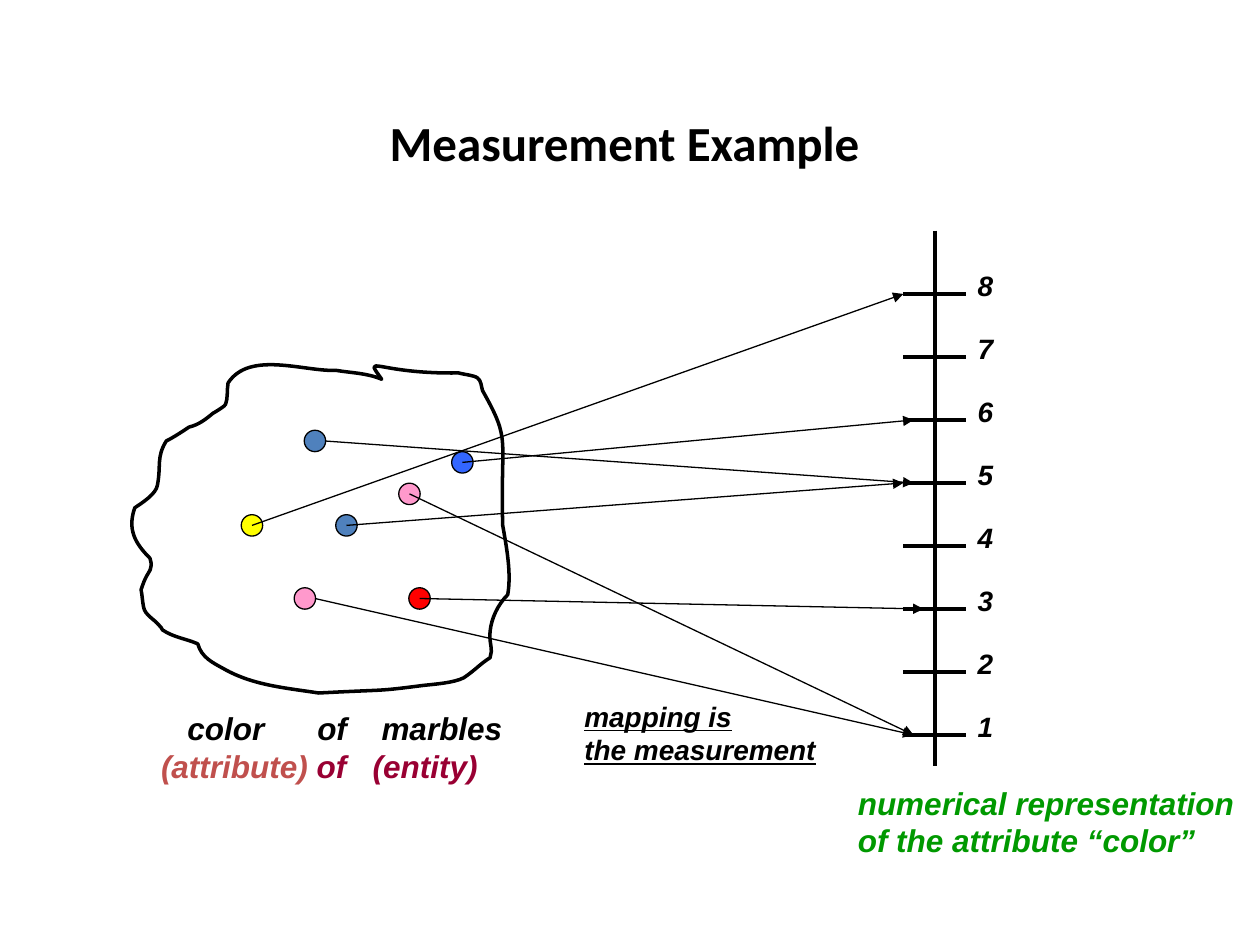
from dataclasses import dataclass

from lxml.etree import SubElement
from pptx import Presentation
from pptx.dml.color import RGBColor
from pptx.enum.shapes import MSO_CONNECTOR as CONN, MSO_SHAPE as SHAPE
from pptx.enum.text import MSO_ANCHOR as ANCHOR, PP_ALIGN as ALIGN
from pptx.oxml.ns import qn
from pptx.util import Inches, Pt


@dataclass(frozen=True)
class Theme:
    heading: str = "Calibri"
    body: str = "Arial"
    black: str = "000000"
    white: str = "FFFFFF"
    steel: str = "4F81BD"
    pink: str = "FF99CC"
    blue: str = "3366FF"
    red: str = "FF0000"
    yellow: str = "FFFF00"
    brick: str = "C0504D"
    wine: str = "990033"
    green: str = "009900"
    title_size: int = 28
    caption_size: int = 18
    label_size: int = 16


T = Theme()
MARBLE = 0.17
AXIS_X = 7.42
TICK_HALF = 0.25

MARBLES = [
    (2.5, 3.5, T.steel, 0.08, 5, 7.25),
    (3.25, 3.92, T.pink, 0, 1, 7.25),
    (2.75, 4.17, T.steel, 0, 5, 7.17),
    (2.42, 4.75, T.pink, 0.08, 1, 7.25),
    (3.67, 3.67, T.blue, 0, 6, 7.25),
    (3.33, 4.75, T.red, 0, 3, 7.33),
    (2, 4.17, T.yellow, 0, 8, 7.17),
]

BAG_START = (3.03, 3.01)
BAG_CURVES = [
    (2.91, 2.96, 2.79, 2.96, 2.67, 2.94),
    (2.41, 2.95, 1.98, 2.78, 1.81, 3.04),
    (1.8, 3.1, 1.81, 3.16, 1.79, 3.21),
    (1.79, 3.22, 1.71, 3.27, 1.69, 3.28),
    (1.63, 3.33, 1.58, 3.37, 1.5, 3.39),
    (1.44, 3.43, 1.38, 3.47, 1.32, 3.5),
    (1.24, 3.63, 1.28, 3.69, 1.25, 3.85),
    (1.24, 3.92, 1.13, 3.99, 1.07, 4.03),
    (1.01, 4.2, 1.07, 4.31, 1.19, 4.43),
    (1.22, 4.52, 1.18, 4.53, 1.15, 4.6),
    (1.14, 4.62, 1.12, 4.68, 1.12, 4.68),
    (1.13, 4.73, 1.13, 4.77, 1.14, 4.82),
    (1.15, 4.88, 1.23, 4.92, 1.26, 4.96),
    (1.28, 4.97, 1.28, 4.99, 1.29, 5),
    (1.38, 5.06, 1.48, 5.07, 1.57, 5.11),
    (1.6, 5.22, 1.69, 5.26, 1.78, 5.31),
    (2.01, 5.44, 2.27, 5.46, 2.53, 5.5),
    (3.1, 5.47, 2.97, 5.49, 3.36, 5.44),
    (3.45, 5.43, 3.6, 5.42, 3.68, 5.38),
    (3.77, 5.32, 3.81, 5.27, 3.89, 5.22),
    (3.89, 5.2, 3.9, 5.19, 3.9, 5.17),
    (3.9, 5.12, 3.88, 5.06, 3.89, 5.01),
    (3.9, 4.91, 3.95, 4.8, 4.03, 4.72),
    (4.06, 4.55, 4.02, 4.34, 3.99, 4.17),
    (3.97, 3.45, 4.06, 3.51, 3.83, 3.1),
    (3.82, 3.07, 3.82, 3.02, 3.79, 3),
    (3.77, 2.98, 3.67, 2.97, 3.64, 2.96),
    (2.98, 2.97, 2.88, 2.8, 3.03, 3.01),
]


def scale_y(value):
    return 19 / 3 - value / 2


class SlideBuilder:
    def __init__(self, slide, theme):
        self.slide = slide
        self.theme = theme

    def paint(self, sp, fill, width):
        sp.shadow.inherit = False
        sp.fill.solid()
        sp.fill.fore_color.rgb = RGBColor.from_string(fill)
        sp.line.color.rgb = RGBColor.from_string(self.theme.black)
        sp.line.width = Pt(width)

    def style(self, font, name, size, color):
        font.name, font.size, font.bold = name, Pt(size), True
        font.color.rgb = RGBColor.from_string(color)

    def title(self, text, x, y, w, h):
        sp = self.slide.shapes.title
        sp.left, sp.top, sp.width, sp.height = map(Inches, (x, y, w, h))
        tf = sp.text_frame
        tf.text = text
        tf.vertical_anchor = ANCHOR.MIDDLE
        p = tf.paragraphs[0]
        p.alignment = ALIGN.CENTER
        self.style(p.runs[0].font, self.theme.heading, self.theme.title_size, self.theme.black)

    def curved_outline(self, start, curves, fill, width):
        points = [(Inches(c[i]), Inches(c[i + 1])) for c in curves for i in (0, 2, 4)]
        builder = self.slide.shapes.build_freeform(*map(Inches, start))
        builder.add_line_segments(points, close=True)
        sp = builder.convert_to_shape()
        segments = list(sp._element.iter(qn("a:lnTo")))
        for i in range(0, len(curves) * 3, 3):
            trio = segments[i:i + 3]
            outline = trio[0].getparent()
            curve = SubElement(outline, qn("a:cubicBezTo"))
            outline.replace(trio[0], curve)
            for segment in trio:
                curve.append(segment[0])
            for segment in trio[1:]:
                outline.remove(segment)
        self.paint(sp, fill, width)

    def marble(self, cx, cy, color):
        box = (cx - MARBLE / 2, cy - MARBLE / 2, MARBLE, MARBLE)
        self.paint(self.slide.shapes.add_shape(SHAPE.OVAL, *map(Inches, box)), color, 0.75)

    def line(self, x1, y1, x2, y2, width, arrow=False):
        cxn = self.slide.shapes.add_connector(CONN.STRAIGHT, *map(Inches, (x1, y1, x2, y2)))
        cxn.line.color.rgb = RGBColor.from_string(self.theme.black)
        cxn.line.width = Pt(width)
        if arrow:
            SubElement(cxn.line._get_or_add_ln(), qn("a:tailEnd"), type="triangle")
        SubElement(cxn._element.spPr, qn("a:effectLst"))

    def text(self, x, y, w, h, lines, size, underline=None):
        tf = self.slide.shapes.add_textbox(*map(Inches, (x, y, w, h))).text_frame
        tf.word_wrap = True
        for i, (parts, tabs) in enumerate(lines):
            p = tf.add_paragraph() if i else tf.paragraphs[0]
            if tabs:
                tab_list = SubElement(p._p.get_or_add_pPr(), qn("a:tabLst"))
                for pos in tabs:
                    SubElement(tab_list, qn("a:tab"), pos=str(Inches(pos)), algn="l")
            for words, color in parts:
                r = p.add_run()
                r.text = words
                self.style(r.font, self.theme.body, size, color)
                r.font.italic = True
                r.font.underline = underline


def main():
    prs = Presentation()
    prs.slide_width, prs.slide_height = Inches(10), Inches(7.5)
    s = SlideBuilder(prs.slides.add_slide(prs.slide_layouts[5]), T)

    s.title("Measurement Example ", 0.75, 0.67, 8.5, 0.92)
    s.curved_outline(BAG_START, BAG_CURVES, T.white, 2)
    for cx, cy, color, *_ in MARBLES:
        s.marble(cx, cy, color)
    s.text(1.18, 5.58, 3.06, 0.7, [
        ([("\tcolor\tof\tmarbles", T.black)], (0.21, 1.24, 1.75)),
        ([("(attribute) ", T.brick), ("of\t(entity)", T.wine)], (1.68,)),
    ], T.caption_size)

    s.line(AXIS_X, 1.83, AXIS_X, 6.08, 2)
    for value in range(1, 9):
        y = scale_y(value)
        s.line(AXIS_X - TICK_HALF, y, AXIS_X + TICK_HALF, y, 1.75)
        s.text(7.66, y - 0.25, 0.32, 0.37, [([(str(value), T.black)], ())], T.label_size)
    s.text(6.71, 6.17, 3.25, 0.7, [
        ([("numerical representation", T.green)], ()),
        ([("of the attribute “color”", T.green)], ()),
    ], T.caption_size)

    for cx, cy, _, offset, value, end_x in MARBLES:
        s.line(cx + offset, cy, end_x, scale_y(value), 0.75, arrow=True)
    s.text(4.54, 5.5, 2.1, 0.64, [
        ([("mapping is", T.black)], ()),
        ([("the measurement", T.black)], ()),
    ], T.label_size, underline=True)

    prs.save("out.pptx")


if __name__ == "__main__":
    main()
